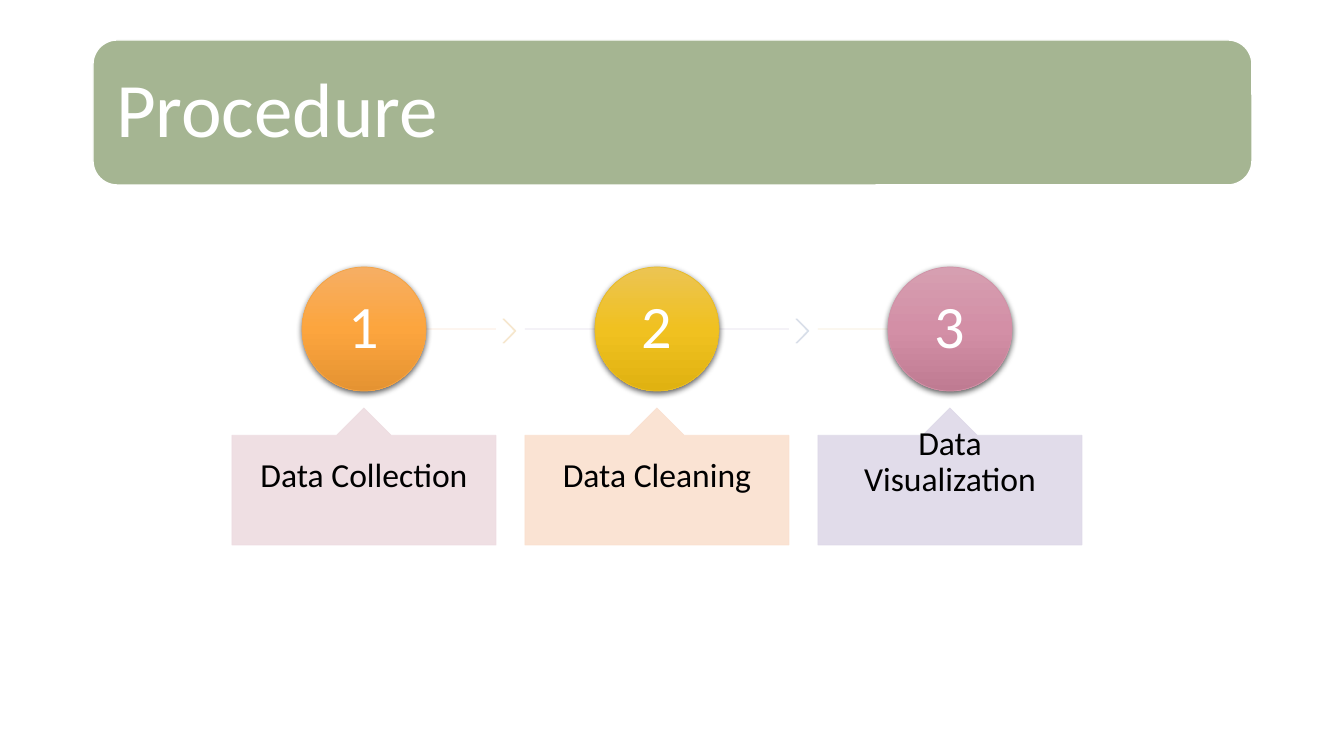
from dataclasses import dataclass
from lxml import etree
from pptx import Presentation
from pptx import util as u
from pptx.dml.color import RGBColor
from pptx.enum import shapes, text
from pptx.oxml.ns import qn


@dataclass(frozen=True)
class Theme:
    font: str = "Calibri"
    white: str = "FFFFFF"
    black: str = "000000"
    green: str = "A5B592"
    rose: str = "EEDCE1"
    peach: str = "FAE0CF"
    sand: str = "F6E7CD"
    lilac: str = "DED9E8"
    mist: str = "D8DFE9"
    orange: tuple = ("F6AE64", "FCA53E", "E59332", "F3A447")
    gold: tuple = ("ECC453", "F0C120", "E0B211", "E7BC29")
    pink: tuple = ("D69FB1", "D38FA6", "BF7B92", "D092A7")
    title: int = 55
    digit: int = 43
    label: int = 24


T = Theme()
SCALE = 914400 / 100.8
KIND = shapes.MSO_SHAPE
MID, TOP = text.MSO_ANCHOR.MIDDLE, text.MSO_ANCHOR.TOP
LEFT, MIDDLE = text.PP_ALIGN.LEFT, text.PP_ALIGN.CENTER
STEP, PITCH, WIDTH = 232, 293, 264
BALL, BALL_TOP = 124, 267


def px(n):
    return u.Emu(round(n * SCALE))


def child(node, tag, **attrs):
    return etree.SubElement(node, qn(tag), {k: str(v) for k, v in attrs.items()})


def fade(shape):
    """Make the shape's fill and line 90 % opaque."""
    for clr in shape._element.spPr.iter(qn("a:srgbClr")):
        child(clr, "a:alpha", val=90000)


def block(slide, kind, box, color, adjust=(), edge=None, width=0.5):
    shape = slide.shapes.add_shape(kind, *map(px, box))
    shape.shadow.inherit = False
    for i, value in enumerate(adjust):
        shape.adjustments[i] = value
    shape.fill.solid()
    shape.fill.fore_color.rgb = RGBColor.from_string(color)
    shape.line.color.rgb = RGBColor.from_string(edge or color)
    shape.line.width = u.Pt(width)
    return shape


def write(shape, words, size, color, inset, align=MIDDLE, anchor=MID):
    """Put one paragraph in the shape; inset is (side, top and bottom) in px."""
    frame = shape.text_frame
    side, end = map(px, inset)
    para = frame.paragraphs[0]
    run = para.add_run()
    run.text = words
    run.font.color.rgb = RGBColor.from_string(color)
    formats = (
        (frame, dict(word_wrap=True, vertical_anchor=anchor, margin_left=side,
                     margin_right=side, margin_top=end, margin_bottom=end)),
        (para, dict(alignment=align, line_spacing=0.9)),
        (run.font, dict(name=T.font, size=u.Pt(size))),
    )
    for target, values in formats:
        for name, value in values.items():
            setattr(target, name, value)


def rule(slide, start, end, color):
    y = px(BALL_TOP + BALL // 2)
    line = slide.shapes.add_connector(
        shapes.MSO_CONNECTOR.STRAIGHT, px(start), y, px(end), y)
    line.line.color.rgb = RGBColor.from_string(color)
    line.line.width = u.Pt(0.5)
    fade(line)
    child(line._element.spPr, "a:effectLst")


def ball(slide, left, digit, tones):
    *stops, edge = tones
    shape = block(slide, KIND.OVAL, (left, BALL_TOP, BALL, BALL), edge)
    shape.fill.gradient()
    shape.fill.gradient_angle = 270
    props = shape._element.spPr
    ramp = props.find(".//" + qn("a:gsLst"))
    ramp.clear()
    for i, tone in enumerate(stops):
        child(child(ramp, "a:gs", pos=i * 50000), "a:srgbClr", val=tone)
    shade = child(props.find(qn("a:effectLst")), "a:outerShdw", blurRad=u.Pt(4.5),
                  dist=u.Pt(1.5), dir=5400000, rotWithShape=0)
    child(child(shade, "a:srgbClr", val=T.black), "a:alpha", val=63000)
    write(shape, digit, T.digit, T.white, (0, 0))


def callout(slide, left, words, color, anchor):
    box = (left, 408, WIDTH, 137)
    fade(block(slide, KIND.UP_ARROW_CALLOUT, box, color, (0.5, 0.2, 0.2, 1)))
    label = slide.shapes.add_textbox(*map(px, box))
    write(label, words, T.label, T.black, (21, 18), anchor=anchor)


def main():
    deck = Presentation()
    deck.slide_width, deck.slide_height = px(1344), px(756)
    slide = deck.slides.add_slide(deck.slide_layouts[6])

    title = block(slide, KIND.ROUNDED_RECTANGLE, (93, 40, 1159, 145), T.green,
                  edge=T.white, width=1)
    write(title, "Procedure", T.title, T.white, (16, 16), align=LEFT)

    # words, ball tones, callout colour, line colour, line span, chevron, anchor
    steps = (
        ("Data Collection", T.orange, T.rose, T.peach, (147, WIDTH), T.sand, MID),
        ("Data Cleaning", T.gold, T.peach, T.lilac, (0, WIDTH), T.mist, MID),
        ("Data Visualization", T.pink, T.lilac, T.sand, (0, 132), None, TOP),
    )
    for i, (words, tones, pale, thread, span, mark, anchor) in enumerate(steps):
        left = STEP + i * PITCH
        rule(slide, left + span[0], left + span[1], thread)
        if mark:
            fade(block(slide, KIND.CHEVRON, (left + 271, 319, 13, 24), mark, (0.9,)))
        ball(slide, left + (WIDTH - BALL) // 2, str(i + 1), tones)
        callout(slide, left, words, pale, anchor)

    deck.save("out.pptx")


if __name__ == "__main__":
    main()
